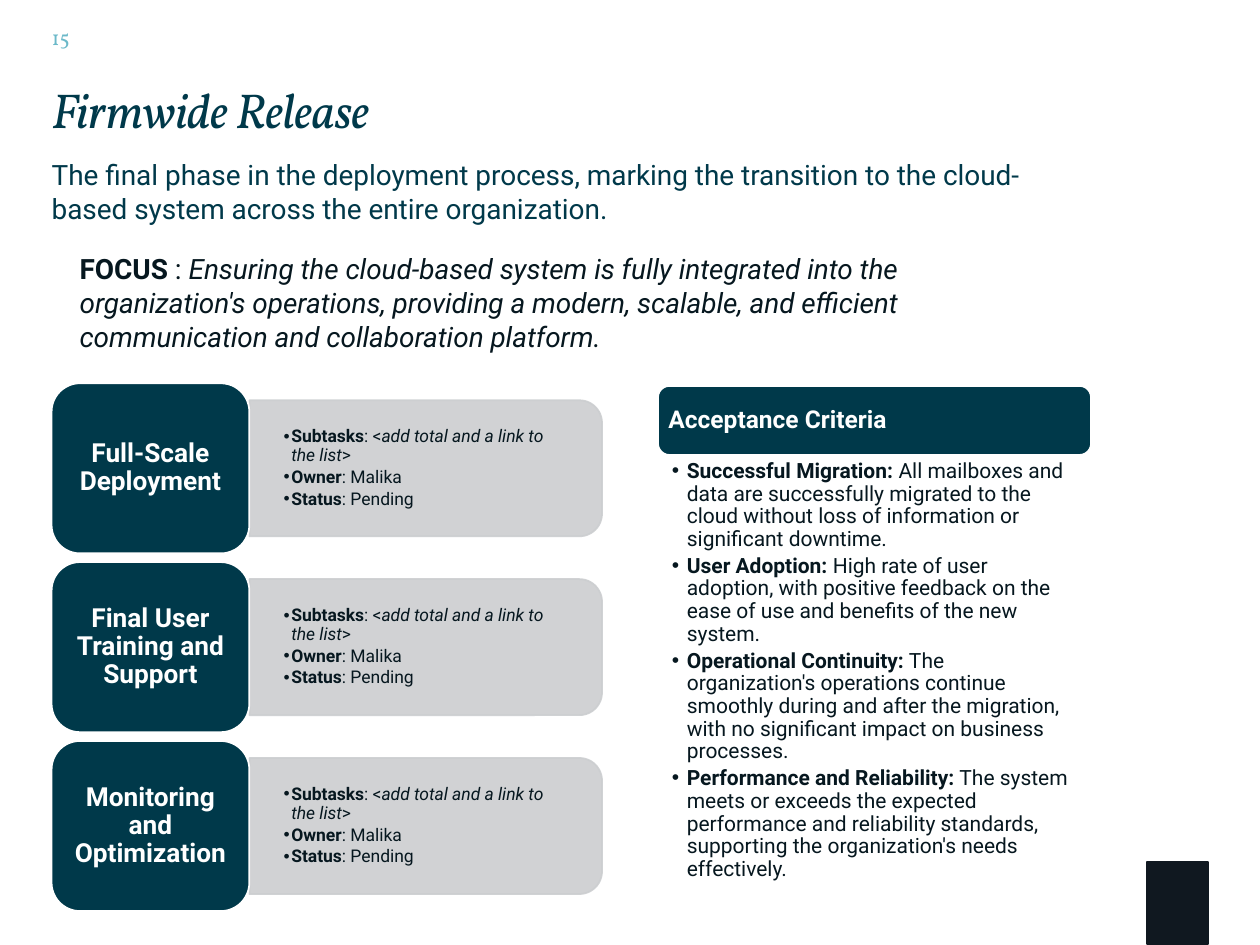
import pptx
import pptx.dml.color
import pptx.enum.shapes
import pptx.enum.text
import pptx.oxml.ns
import pptx.util
from lxml import etree

Pt = pptx.util.Pt
Shapes = pptx.enum.shapes.MSO_SHAPE
Align = pptx.enum.text.PP_ALIGN
Anchor = pptx.enum.text.MSO_ANCHOR

NAVY, INK, GREY, WHITE = "00394A", "06171F", "CCCED0", "FFFFFF"
AQUA, BLACK = "6BB9C9", "101820"

STAGES = ["Full-Scale Deployment", "Final User Training and Support",
          "Monitoring and Optimization"]
# A paragraph is a list of (text, style) runs; b is bold, i is italic
DETAILS = [
    [("Subtasks", "b"), (": <", ""),
     ("add total and a link to the list", "i"), (">", "")],
    [("Owner", "b"), (": Malika", "")],
    [("Status", "b"), (": Pending", "")],
]
CRITERIA = [
    ("Successful Migration:", " All mailboxes and data are successfully migrated "
     "to the cloud without loss of information or significant downtime."),
    ("User Adoption:", " High rate of user adoption, with positive feedback on "
     "the ease of use and benefits of the new system."),
    ("Operational Continuity:", " The organization's operations continue smoothly "
     "during and after the migration, with no significant impact on business "
     "processes."),
    ("Performance and Reliability:", " The system meets or exceeds the expected "
     "performance and reliability standards, supporting the organization's needs "
     "effectively."),
]


def color(hex_string):
    return pptx.dml.color.RGBColor.from_string(hex_string)


def add_child(parent, tag, **attributes):
    return etree.SubElement(parent, pptx.oxml.ns.qn(tag), attributes)


def write(shape, paragraphs, size, ink, font="Roboto", insets=(0, 0, 0, 0),
          anchor=Anchor.TOP, align=Align.LEFT, line_spacing=None, gap=0,
          bullet_indent=None):
    frame = shape.text_frame
    frame.word_wrap = True
    frame.vertical_anchor = anchor
    frame.margin_left, frame.margin_top, frame.margin_right, frame.margin_bottom = (
        Pt(inset) for inset in insets)
    for index, runs in enumerate(paragraphs):
        paragraph = frame.add_paragraph() if index else frame.paragraphs[0]
        paragraph.alignment = align
        paragraph.line_spacing = line_spacing
        paragraph.space_after = Pt(gap)
        if bullet_indent:
            properties = paragraph._p.get_or_add_pPr()
            properties.set("marL", str(Pt(bullet_indent)))
            properties.set("indent", str(-Pt(bullet_indent)))
            add_child(properties, "a:buFont", typeface="Arial")
            add_child(properties, "a:buChar", char="•")
        for text, style in runs:
            run = paragraph.add_run()
            run.text = text
            run.font.name, run.font.size = font, Pt(size)
            run.font.bold, run.font.italic = "b" in style, "i" in style
            run.font.color.rgb = color(ink)


def add_text(slide, box, paragraphs, size, ink, **options):
    shape = slide.shapes.add_textbox(*map(Pt, box))
    write(shape, paragraphs, size, ink, **options)
    return shape


def add_block(slide, kind, box, fill, line):
    shape = slide.shapes.add_shape(kind, *map(Pt, box))
    shape.shadow.inherit = False
    shape.fill.solid()
    shape.fill.fore_color.rgb = color(fill)
    shape.line.color.rgb = color(line)
    shape.line.width = Pt(1)
    return shape


def add_heading(slide, left, top, width):
    # Page number
    add_text(slide, (left - 5, top, 43, 29), [[("15", "")]], 12, AQUA,
             font="Vollkorn", insets=(5, 3, 5, 3), anchor=Anchor.MIDDLE)
    # Title
    title = add_text(slide, (left, top + 44, 202, 29.5),
                     [[("Firmwide Release", "i")]], 28, NAVY, font="Vollkorn",
                     line_spacing=0.86)
    title.text_frame.word_wrap = False
    title.text_frame.paragraphs[0].runs[0].font._element.set("spc", "-30")
    # Summary
    add_text(slide, (left, top + 83.5, width, 54), [[(
        "The final phase in the deployment process, marking the transition to "
        "the cloud-based system across the entire organization.", "")]], 16, NAVY)
    # Focus
    add_text(slide, (left + 16, top + 137.5, 495, 58), [[
        ("FOCUS", "b"), (" : ", ""),
        ("Ensuring the cloud-based system is fully integrated into the "
         "organization's operations, providing a modern, scalable, and efficient "
         "communication and collaboration platform.", "i")]], 16, INK)


def add_stage(slide, left, top, width, height, name):
    label_width = 113
    panel_width, panel_height = width - label_width, height * 0.8
    panel_left = left + label_width
    middle = top + height / 2
    # Grey panel: a tall shape turned so its round corners face right
    panel = add_block(slide, Shapes.ROUND_2_SAME_RECTANGLE,
                      (panel_left + (panel_width - panel_height) / 2,
                       middle - panel_width / 2, panel_height, panel_width),
                      GREY, GREY)
    panel.rotation = 90
    for swatch in panel._element.spPr.iter(pptx.oxml.ns.qn("a:srgbClr")):
        add_child(swatch, "a:alpha", val="90000")
    add_text(slide, (panel_left, middle - 35.5, panel_width - 4, 71), DETAILS, 10,
             INK, insets=(19.5, 10, 19.5, 10), anchor=Anchor.MIDDLE,
             line_spacing=0.9, gap=1.5, bullet_indent=4.5)
    # Stage name
    label = add_block(slide, Shapes.ROUNDED_RECTANGLE,
                      (left, top, label_width, height), NAVY, WHITE)
    write(label, [[(name, "b")]], 15, WHITE, insets=(4, 2, 4, 2),
          anchor=Anchor.MIDDLE, align=Align.CENTER, line_spacing=0.9)


def add_stages(slide, left, top, width, height):
    pitch = height / len(STAGES)
    for index, name in enumerate(STAGES):
        add_stage(slide, left, top + index * pitch, width, pitch - 5, name)


def add_criteria(slide, left, top, width, height):
    header_height = 39.5
    header = add_block(slide, Shapes.ROUNDED_RECTANGLE,
                       (left, top, width, header_height), NAVY, WHITE)
    write(header, [[("Acceptance Criteria", "b")]], 14, WHITE,
          insets=(4, 4, 4, 4), anchor=Anchor.MIDDLE, line_spacing=0.9)
    add_text(slide, (left, top + header_height + 1.5, width,
                     height - header_height - 1.5),
             [[(name, "b"), (text, "")] for name, text in CRITERIA], 12, INK,
             insets=(8, 1.5, 8.5, 1.5), line_spacing=0.9, gap=2.4,
             bullet_indent=8.5)


def main():
    presentation = pptx.Presentation()
    presentation.slide_width, presentation.slide_height = Pt(720), Pt(540)
    slide = presentation.slides.add_slide(presentation.slide_layouts[6])
    # Corner block
    add_block(slide, Shapes.RECTANGLE, (655.5, 492.5, 35, 47), BLACK, BLACK)
    add_heading(slide, 29.5, 6.5, 594)
    add_stages(slide, 29.5, 219, 314.5, 306.6)
    add_criteria(slide, 376, 220.5, 247.5, 291.5)
    presentation.save("out.pptx")


if __name__ == "__main__":
    main()
